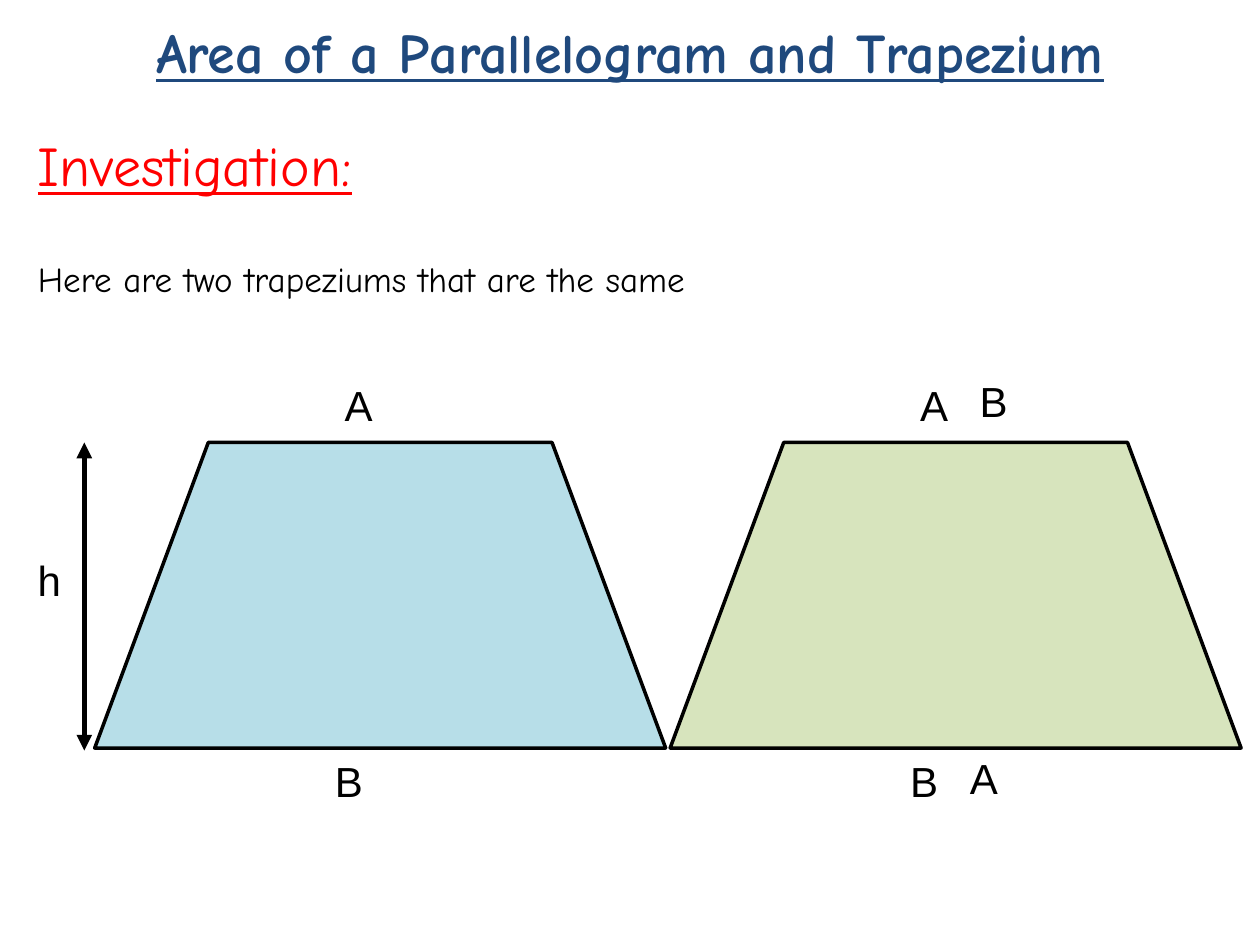
from dataclasses import dataclass

from lxml.etree import SubElement
from pptx import Presentation
from pptx.dml.color import RGBColor
from pptx.enum.shapes import MSO_CONNECTOR
from pptx.enum.text import MSO_ANCHOR, MSO_AUTO_SIZE, PP_ALIGN
from pptx.oxml.ns import qn
from pptx.util import Cm, Pt


@dataclass(frozen=True)
class Theme:
    navy: RGBColor = RGBColor(0x1F, 0x49, 0x7D)
    red: RGBColor = RGBColor(0xFF, 0x00, 0x00)
    black: RGBColor = RGBColor(0x00, 0x00, 0x00)
    blue_fill: RGBColor = RGBColor(0xB7, 0xDE, 0xE8)
    green_fill: RGBColor = RGBColor(0xD7, 0xE4, 0xBD)
    heading_size: Pt = Pt(32)
    body_size: Pt = Pt(20)
    label_size: Pt = Pt(24)
    handwriting: str = "Comic Neue"
    label_font: str = "Arial"


theme = Theme()


def write(paragraph, text, color, **font_format):
    run = paragraph.add_run()
    run.text = text
    run.font.color.rgb = color
    for attribute, value in font_format.items():
        setattr(run.font, attribute, value)


def add_label(text, left, top):
    label = slide.shapes.add_textbox(Cm(left), Cm(top), Cm(3.99), Cm(1.27))
    label.text_frame.word_wrap = True
    write(label.text_frame.paragraphs[0], text, theme.black,
          name=theme.label_font, size=theme.label_size)


presentation = Presentation()
presentation.slide_width, presentation.slide_height = Cm(25.4), Cm(19.05)
slide = presentation.slides.add_slide(presentation.slide_layouts[1])

# Title and introduction
title = slide.shapes.title
introduction = slide.placeholders[1]
for placeholder, (left, top, width, height), anchor in (
    (title, (0, -0.08, 25.4, 2.21), MSO_ANCHOR.MIDDLE),
    (introduction, (0.51, 2.51, 24.21, 16), MSO_ANCHOR.TOP),
):
    placeholder.left, placeholder.top = Cm(left), Cm(top)
    placeholder.width, placeholder.height = Cm(width), Cm(height)
    placeholder.text_frame.auto_size = MSO_AUTO_SIZE.NONE
    placeholder.text_frame.vertical_anchor = anchor

heading = title.text_frame.paragraphs[0]
heading.alignment = PP_ALIGN.CENTER
write(heading, "Area of a Parallelogram and Trapezium", theme.navy,
      name=theme.handwriting, size=theme.heading_size, bold=True, underline=True)

investigation = introduction.text_frame.paragraphs[0]
statement = introduction.text_frame.add_paragraph()
for paragraph, space_before in ((investigation, 0), (statement, 34)):
    properties = paragraph._p.get_or_add_pPr()
    properties.set("marL", str(Cm(0.95)))
    properties.set("indent", str(-Cm(0.95)))
    SubElement(properties, qn("a:buNone"))
    paragraph.space_before = Pt(space_before)
write(investigation, "Investigation:", theme.red,
      name=theme.handwriting, size=theme.heading_size, underline=True)
write(statement, "Here are two trapeziums that are the same", theme.black,
      name=theme.handwriting, size=theme.body_size)

# Two equal trapeziums, one step apart
trapezium_step = 11.6
base_left, base_width, side_inset = 1.91, 11.51, 2.29
top_edge, bottom_edge = 8.92, 15.08
for index, fill_color in enumerate((theme.blue_fill, theme.green_fill)):
    left = base_left + index * trapezium_step
    right = left + base_width
    outline = slide.shapes.build_freeform(Cm(left), Cm(bottom_edge))
    outline.add_line_segments([
        (Cm(left + side_inset), Cm(top_edge)),
        (Cm(right - side_inset), Cm(top_edge)),
        (Cm(right), Cm(bottom_edge)),
    ], close=True)
    trapezium = outline.convert_to_shape()
    trapezium.shadow.inherit = False
    trapezium.fill.solid()
    trapezium.fill.fore_color.rgb = fill_color
    trapezium.line.color.rgb = theme.black
    trapezium.line.width = Pt(2)

# Side labels: a pair for each trapezium, then the swapped pair
for index in range(2):
    add_label("B", 6.5 + index * trapezium_step, 15.11)
    add_label("A", 6.7 + index * trapezium_step, 7.52)
add_label("A", 19.3, 15.04)
add_label("B", 19.5, 7.44)

# Height
height_arrow = slide.shapes.add_connector(
    MSO_CONNECTOR.STRAIGHT, Cm(1.7), Cm(top_edge), Cm(1.7), Cm(15.13))
height_arrow.line.color.rgb = theme.black
height_arrow.line.width = Pt(3)
arrow_line = height_arrow.line._get_or_add_ln()
for arrow_end in ("a:headEnd", "a:tailEnd"):
    SubElement(arrow_line, qn(arrow_end), type="triangle")
SubElement(height_arrow._element.spPr, qn("a:effectLst"))
add_label("h", 0.51, 11.05)

presentation.save("out.pptx")
